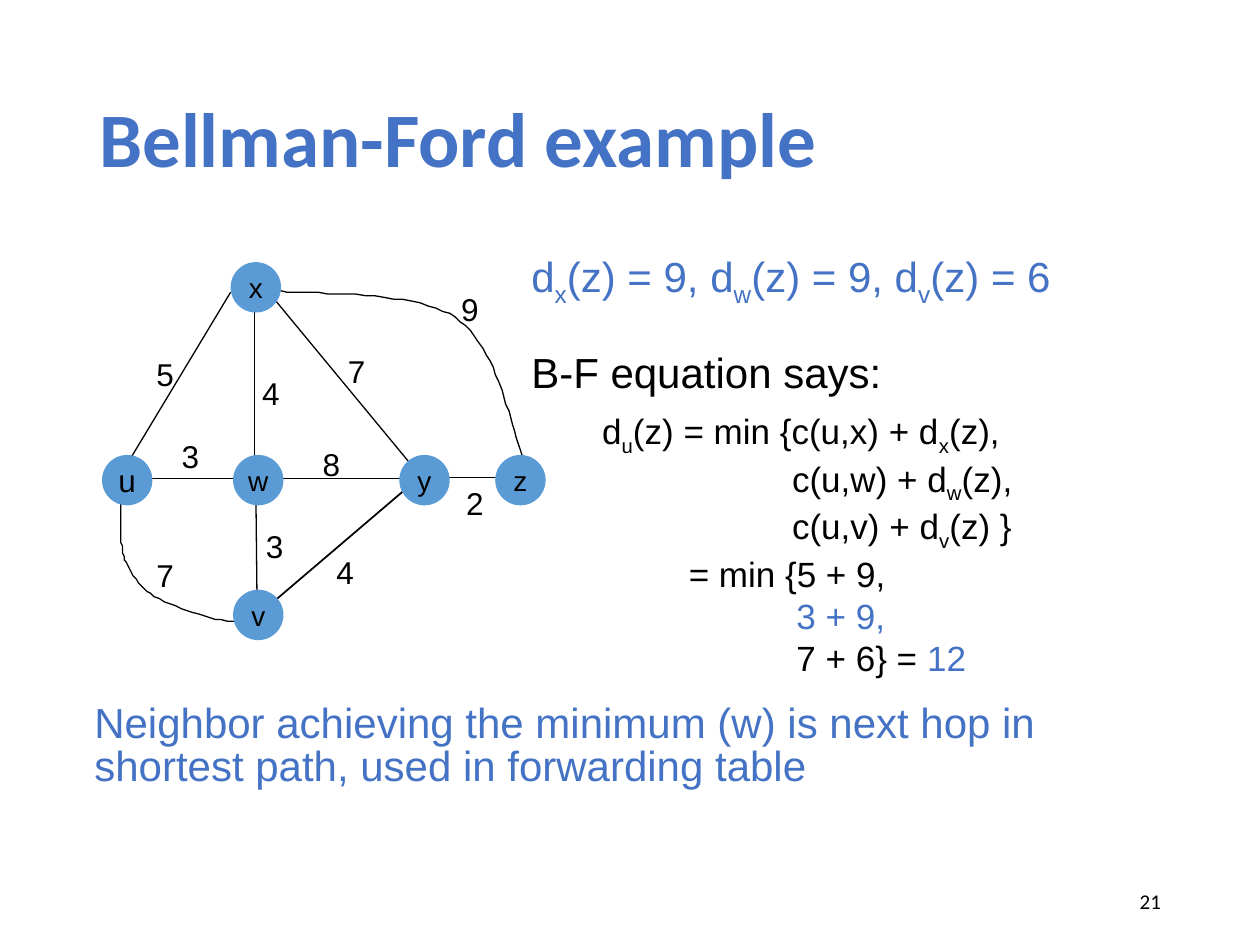
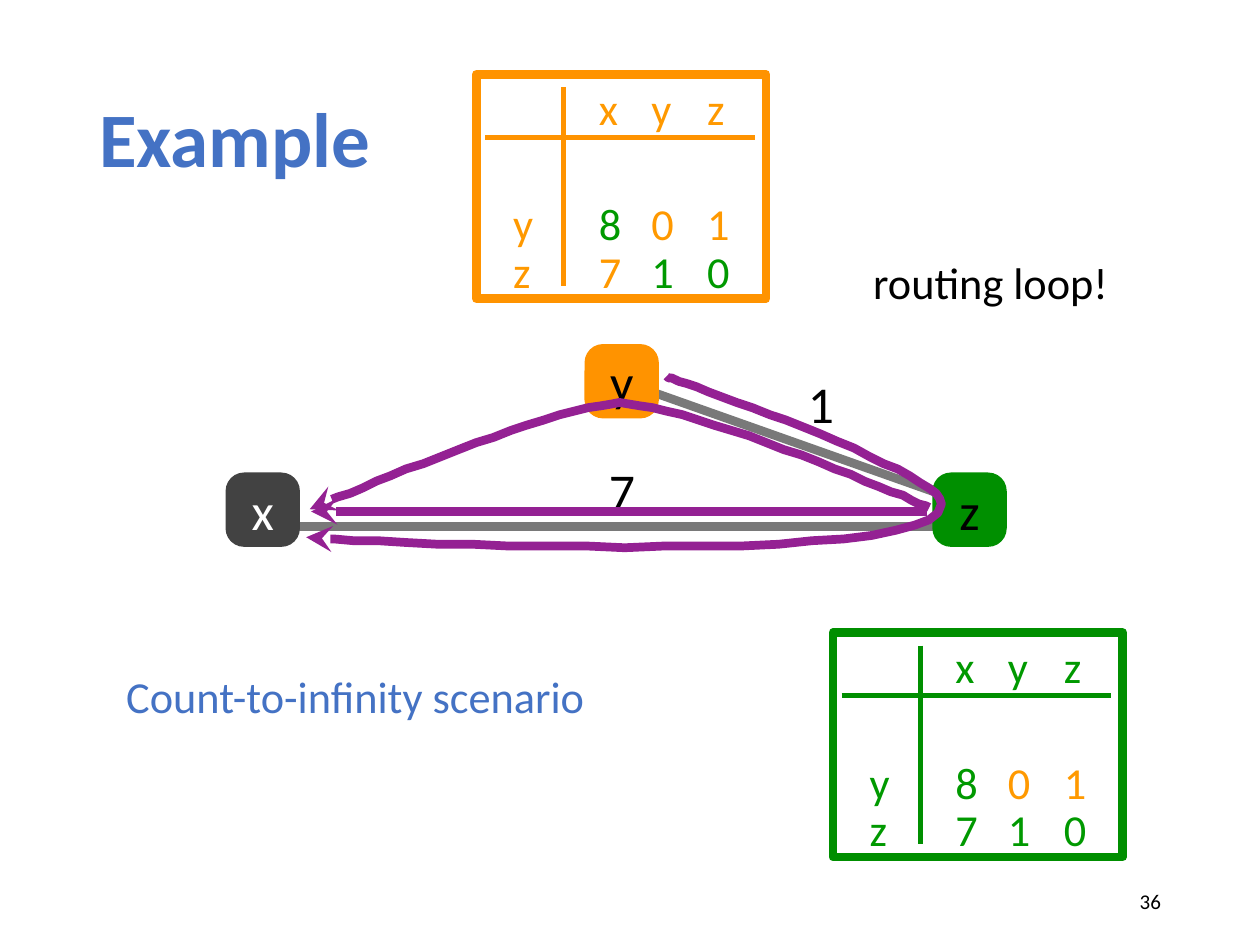
from dataclasses import dataclass
from typing import Any, NamedTuple, Optional

import lxml.etree
import pptx
import pptx.dml.color
import pptx.enum.shapes
import pptx.enum.text
import pptx.oxml.ns
import pptx.util

Pt = pptx.util.Pt
Align = pptx.enum.text.PP_ALIGN
Anchor = pptx.enum.text.MSO_ANCHOR
Preset = pptx.enum.shapes.MSO_SHAPE
qn = pptx.oxml.ns.qn
Point = tuple[float, float]


@dataclass(frozen=True)
class Theme:
    accent: str = "4472C4"
    black: str = "000000"
    white: str = "FFFFFF"
    vertex: str = "5B9BD5"
    orange: str = "FF9300"
    green: str = "008F00"
    orange_text: str = "FF9900"
    green_text: str = "009900"
    dark: str = "424242"
    link: str = "797979"
    route: str = "942193"
    heading_font: str = "Calibri"
    graph_font: str = "Arial"
    title_size: float = 44
    router_size: float = 29.5
    table_size: float = 25.3
    statement_size: float = 24
    equation_size: float = 20
    weight_size: float = 18
    vertex_size: float = 16
    number_size: float = 12


THEME = Theme()


class Box(NamedTuple):
    left: float
    top: float
    width: float
    height: float

    def lengths(self) -> list[int]:
        return [Pt(value) for value in self]


@dataclass(frozen=True)
class TextStyle:
    size: float
    font: str = THEME.heading_font
    colour: str = THEME.black
    bold: bool = False
    align: Any = Align.LEFT
    anchor: Any = Anchor.MIDDLE
    inset: Point = (0, 0)
    spacing: Any = 1.0


@dataclass(frozen=True)
class Line:
    """A paragraph; an underscore makes the next letter a subscript."""
    text: str
    indent: float = 0
    colour: Optional[str] = None
    ending: str = ""  # closing words in the accent colour


@dataclass(frozen=True)
class Node:
    name: str
    left: float
    top: float
    fill: str = THEME.vertex
    text_colour: str = THEME.black
    size: float = THEME.vertex_size


@dataclass(frozen=True)
class Edge:
    """Two points make a straight line, 1 + 3n points a Bézier curve."""
    points: list[Point]
    weight: str
    label: Point
    width: float = 0.75


# Shared drawing tools

def colour_of(value: str) -> pptx.dml.color.RGBColor:
    return pptx.dml.color.RGBColor.from_string(value)


def set_attributes(target: Any, values: dict[str, Any]) -> None:
    for name, value in values.items():
        setattr(target, name, value)


def add_run(paragraph: Any, text: str, colour: str, subscript: bool = False) -> None:
    if not text:
        return
    run = paragraph.add_run()
    run.text = text
    run.font.color.rgb = colour_of(colour)
    if subscript:
        run._r.get_or_add_rPr().set("baseline", "-25000")


def write_lines(frame: Any, lines: list[Line], style: TextStyle) -> None:
    for index, line in enumerate(lines):
        paragraph = frame.add_paragraph() if index else frame.paragraphs[0]
        properties = paragraph._p.get_or_add_pPr()
        properties.set("marL", str(Pt(line.indent)))
        properties.set("indent", "0")
        set_attributes(paragraph, {"alignment": style.align, "line_spacing": style.spacing,
                                   "space_before": Pt(0)})
        set_attributes(paragraph.font, {"size": Pt(style.size), "name": style.font,
                                        "bold": style.bold})
        colour = line.colour or style.colour
        start, *pieces = line.text.split("_")
        add_run(paragraph, start, colour)
        for piece in pieces:
            add_run(paragraph, piece[0], colour, subscript=True)
            add_run(paragraph, piece[1:], colour)
        add_run(paragraph, line.ending, THEME.accent)


def fill_text(shape: Any, lines: list[Line], style: TextStyle) -> None:
    across, down = (Pt(value) for value in style.inset)
    set_attributes(shape.text_frame, {
        "word_wrap": True, "auto_size": pptx.enum.text.MSO_AUTO_SIZE.NONE,
        "vertical_anchor": style.anchor, "margin_left": across, "margin_right": across,
        "margin_top": down, "margin_bottom": down})
    write_lines(shape.text_frame, lines, style)


def add_text(slide: Any, box: Box, lines: list[Line], style: TextStyle) -> None:
    fill_text(slide.shapes.add_textbox(*box.lengths()), lines, style)


def add_preset(slide: Any, kind: Any, box: Box, fill: Optional[str] = None,
               outline: Optional[str] = None) -> Any:
    shape = slide.shapes.add_shape(kind, *box.lengths())
    shape.shadow.inherit = False
    if fill:
        shape.fill.solid()
        shape.fill.fore_color.rgb = colour_of(fill)
    else:
        shape.fill.background()
    if outline:
        set_attributes(shape.line, {"width": Pt(5)})
        shape.line.color.rgb = colour_of(outline)
    else:
        shape.line.fill.background()
    return shape


def bezier_points(controls: list[Point], steps: int = 24) -> list[Point]:
    points = [controls[0]]
    for first in range(0, len(controls) - 1, 3):
        a, b, c, d = controls[first:first + 4]
        for step in range(1, steps + 1):
            t = step / steps
            u = 1 - t
            points.append(tuple(u**3 * a[k] + 3 * u * u * t * b[k] + 3 * u * t * t * c[k]
                                + t**3 * d[k] for k in (0, 1)))
    return points


def add_stroke(slide: Any, points: list[Point], colour: str, width: float,
               arrow: bool = False) -> None:
    if len(points) == 2:
        stroke = slide.shapes.add_connector(
            pptx.enum.shapes.MSO_CONNECTOR.STRAIGHT,
            *[Pt(value) for point in points for value in point])
        lxml.etree.SubElement(stroke.element.spPr, qn("a:effectLst"))
    else:
        start, *rest = bezier_points(points)
        builder = slide.shapes.build_freeform(*start, scale=float(Pt(1)))
        builder.add_line_segments(rest, close=False)
        stroke = builder.convert_to_shape()
        stroke.fill.background()
        stroke.shadow.inherit = False
    stroke.line.color.rgb = colour_of(colour)
    stroke.line.width = Pt(width)
    if arrow:
        outline = stroke.element.spPr.find(qn("a:ln"))
        lxml.etree.SubElement(outline, qn("a:tailEnd"), type="stealth")


def add_node(slide: Any, node: Node, kind: Any, side: float, font: str) -> None:
    shape = add_preset(slide, kind, Box(node.left, node.top, side, side), node.fill)
    if kind == Preset.ROUNDED_RECTANGLE:
        shape.adjustments[0] = 0.25
    style = TextStyle(node.size, font, node.text_colour, align=Align.CENTER)
    fill_text(shape, [Line(node.name)], style)


def start_slide(presentation: Any, title: str, number: int) -> Any:
    slide = presentation.slides.add_slide(presentation.slide_layouts[5])
    box = Box(49.5, 29, 621, 104.5)
    set_attributes(slide.shapes.title, dict(zip(("left", "top", "width", "height"), box.lengths())))
    fill_text(slide.shapes.title, [Line(title)],
              TextStyle(THEME.title_size, colour=THEME.accent, bold=True, inset=(7.2, 3.6), spacing=0.9))
    add_text(slide, Box(508.5, 500.5, 162, 28.8), [Line(str(number))],
             TextStyle(THEME.number_size, align=Align.RIGHT, inset=(7.2, 3.6)))
    return slide


# Slide 1: the weighted graph and the equation

ROW = 260
VERTICES = [Node("x", 131.8, 149.8), Node("u", 58.3, ROW, size=THEME.weight_size),
            Node("z", 283, ROW), Node("v", 133.2, 337), Node("y", 228.2, ROW), Node("w", 133.2, ROW)]
EDGES = [
    Edge([(81.4, 273.6), (139, 273.6)], "3", (96.5, 246.2)),
    Edge([(145.4, 172.8), (145.4, 263.5)], "4", (142.6, 210.2)),
    Edge([(131.8, 167), (70.6, 268.6)], "5", (82.1, 199.4)),
    Edge([(146.2, 278.6), (146.9, 344.9)], "3", (144.7, 297.4)),
    Edge([(255.6, 272.9), (287.3, 272.9)], "2", (259.2, 272.9)),
    Edge([(151.2, 164.2), (239.8, 271.4)], "7", (191.5, 197.3)),
    Edge([(160.6, 273.6), (229.7, 273.6)], "8", (177.1, 250.6)),
    Edge([(157.7, 342.7), (231.1, 280.1)], "4", (185, 312.5), 1),
    Edge([(69.1, 280.1), (69.8, 314.6), (65.5, 317.5), (83.5, 337.7),
          (101.5, 349.9), (141.8, 360.7), (147.6, 352.8)], "7", (82.1, 313.9)),
    Edge([(151.2, 165.6), (169.9, 168.5), (235.4, 164.9), (259.9, 181.4),
          (285.1, 198), (292.3, 247), (300.2, 264.2)], "9", (256.3, 162)),
]
EQUATION = [
    Line("d_u(z) = min {c(u,x) + d_x(z),"),
    Line("c(u,w) + d_w(z),", 108.5),
    Line("c(u,v) + d_v(z) }", 108.5),
    Line("= min {5 + 9,", 49.5),
    Line("3 + 9,", 111, THEME.accent),
    Line("7 + 6} = ", 111, ending="12"),
]


def build_bellman_ford(presentation: Any) -> None:
    slide = start_slide(presentation, "Bellman-Ford example", 21)

    # Statements beside and below the graph
    common = {"font": THEME.graph_font, "anchor": Anchor.TOP, "inset": (7.2, 3.6)}
    black = TextStyle(THEME.statement_size, **common)
    blue = TextStyle(THEME.statement_size, colour=THEME.accent, **common)
    closing = TextStyle(THEME.statement_size, colour=THEME.accent, spacing=0.85, **common)
    add_text(slide, Box(296.5, 139.7, 317.5, 36), [Line("d_x(z) = 9, d_w(z) = 9, d_v(z) = 6")], blue)
    add_text(slide, Box(296.5, 194.4, 220, 36), [Line("B-F equation says:")], black)
    add_text(slide, Box(337, 230.4, 258.5, 152.6), EQUATION, TextStyle(THEME.equation_size, **common))
    add_text(slide, Box(46.8, 398.9, 612.7, 56.9), [Line(
        "Neighbor achieving the minimum (w) is next hop in shortest path, used in forwarding table")],
        closing)

    # Graph
    weight_style = TextStyle(THEME.weight_size, THEME.graph_font, align=Align.CENTER)
    for edge in EDGES:
        add_stroke(slide, edge.points, THEME.black, edge.width)
        add_text(slide, Box(*edge.label, 24.5, 28.8), [Line(edge.weight)], weight_style)
    for vertex in VERTICES:
        add_node(slide, vertex, Preset.OVAL, 28.8, THEME.graph_font)


# Slide 2: routers with their distance tables

ROUTERS = [Node("x", 128.9, 270, THEME.dark, THEME.white, THEME.router_size),
           Node("z", 532.8, 270, THEME.green, size=THEME.router_size),
           Node("y", 334, 196.6, THEME.orange, size=THEME.router_size)]
LINKS = [Edge([(165.6, 301), (549.4, 301)], "7", (344.9, 259.2), 5),
         Edge([(366.5, 221.8), (549.4, 286.6)], "1", (458.6, 209.5), 5)]
ROUTES = [
    [(529.9, 292.3), (177.8, 292.3)],
    [(531.4, 290.2), (531.4, 290.2), (394.6, 230.4), (354.2, 230.4),
     (316.8, 231.1), (177.1, 290.9), (177.1, 290.9)],
    [(380.9, 215.3), (380.9, 215.3), (537.1, 268.6), (537.8, 288),
     (540, 327.6), (175, 307.4), (175, 307.4)],
]
COLUMNS = [(45, 16), (41, 20), (31, 9), (37, 10)]  # width, left margin
ROW_HEIGHTS = [29, 37, 27, 27]
DISTANCES = ["_xyz", "____", "y801", "z710"]  # an underscore is an empty cell
O, G = THEME.orange_text, THEME.green_text


def add_distance_table(slide: Any, left: float, top: float, colour: str,
                       text_colours: list[list[str]]) -> None:
    width, height = sum(width for width, _ in COLUMNS), sum(ROW_HEIGHTS)
    table = slide.shapes.add_table(4, 4, *Box(left + 5, top + 7.5, width, height).lengths()).table
    set_attributes(table, {"first_row": False, "horz_banding": False})
    for row, row_height in enumerate(ROW_HEIGHTS):
        table.rows[row].height = Pt(row_height)
        for column, (column_width, margin) in enumerate(COLUMNS):
            table.columns[column].width = Pt(column_width)
            cell = table.cell(row, column)
            cell.fill.background()
            set_attributes(cell, {"margin_left": Pt(margin), "margin_right": 0, "margin_top": 0,
                                  "margin_bottom": 0, "vertical_anchor": Anchor.MIDDLE})
            style = TextStyle(THEME.table_size, colour=text_colours[row][column], spacing=Pt(26))
            write_lines(cell.text_frame, [Line(DISTANCES[row][column].strip("_"))], style)

    # Frame and the two header rules
    add_preset(slide, Preset.RECTANGLE, Box(left, top, 165.6, 128.2), outline=colour)
    add_stroke(slide, [(left + 5, top + 36), (left + 159, top + 36)], colour, 3)
    add_stroke(slide, [(left + 50, top + 7.5), (left + 50, top + 121)], colour, 3)


def build_routing_loop(presentation: Any) -> None:
    slide = start_slide(presentation, "Example", 36)

    # Network
    for link in LINKS:
        add_stroke(slide, link.points, THEME.link, link.width)
    for router in ROUTERS:
        add_node(slide, router, Preset.ROUNDED_RECTANGLE, 42.5, THEME.heading_font)
    for link in LINKS:
        add_text(slide, Box(*link.label, 21, 41.8), [Line(link.weight)],
                 TextStyle(THEME.router_size, inset=(3, 3)))

    # Distance tables of y and z
    add_distance_table(slide, 272.2, 42.5, THEME.orange, [[O] * 4, [O] * 4, [O, G, O, O], [O, O, G, G]])
    add_distance_table(slide, 476, 361.5, THEME.green, [[G] * 4, [G] * 4, [G, G, O, O], [G] * 4])

    # Routes taken and captions
    for route in ROUTES:
        add_stroke(slide, route, THEME.route, 5, arrow=True)
    add_text(slide, Box(496, 143.3, 169, 36), [Line("routing loop!")],
             TextStyle(THEME.table_size, inset=(3, 3)))
    add_text(slide, Box(66.2, 379.4, 273.6, 36), [Line("Count-to-infinity scenario")],
             TextStyle(THEME.table_size, colour=THEME.accent, align=Align.CENTER, inset=(3, 3)))


def main() -> None:
    presentation = pptx.Presentation()
    set_attributes(presentation, {"slide_width": Pt(720), "slide_height": Pt(540)})
    build_bellman_ford(presentation)
    build_routing_loop(presentation)
    presentation.save("out.pptx")


if __name__ == "__main__":
    main()
